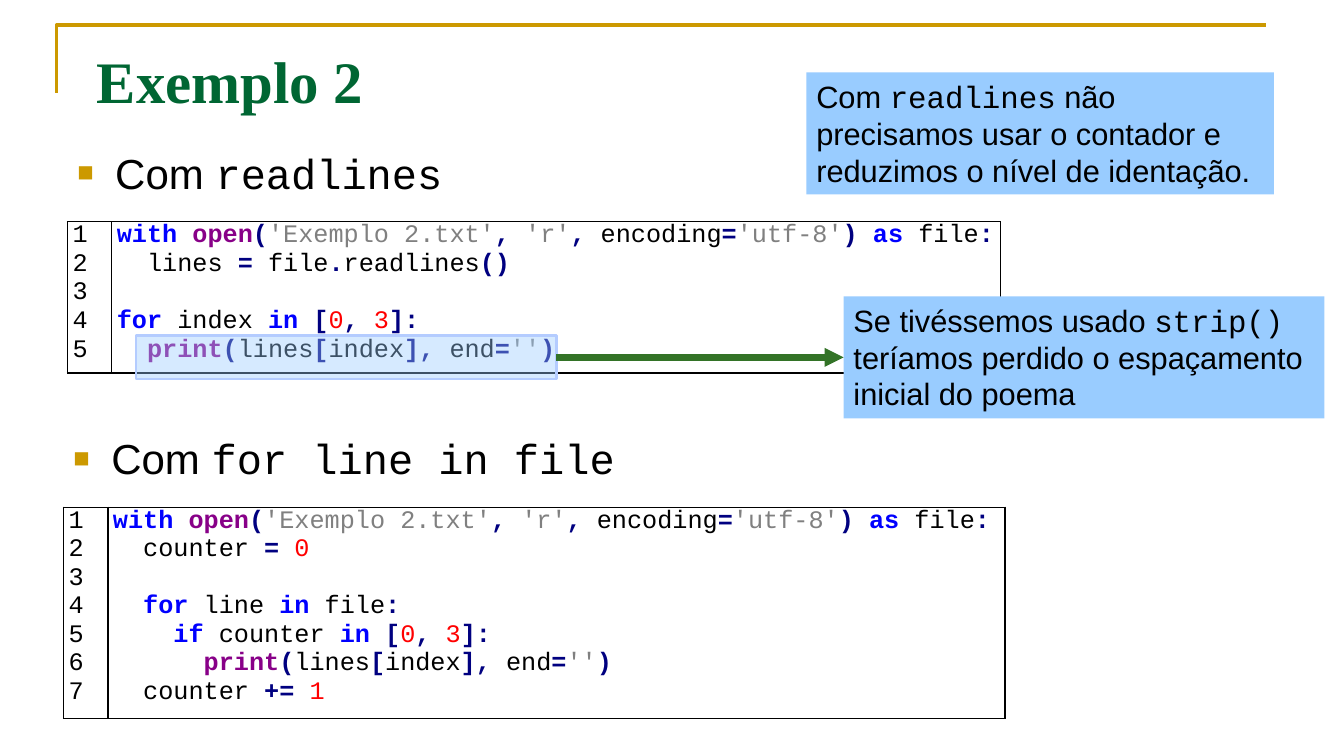
from collections import namedtuple
from dataclasses import dataclass
from itertools import groupby

from lxml import etree
from pptx import Presentation
from pptx.dml.color import RGBColor
from pptx.enum import shapes, text
from pptx.oxml import ns
from pptx.util import Pt

Box = namedtuple("Box", "left top width height")


@dataclass(frozen=True)
class Theme:
    gold: str = "CC9900"
    title: str = "006633"
    ink: str = "000000"
    callout: str = "99CCFF"
    highlight_edge: str = "B4CCFF"
    arrow: str = "337327"
    keyword: str = "0000FF"
    builtin: str = "880088"
    symbol: str = "000080"
    string: str = "808080"
    number: str = "FF0000"
    sans: str = "Arial"
    serif: str = "Times New Roman"
    mono: str = "Courier New"
    title_size: int = 42
    heading_size: int = 30
    callout_size: int = 22
    code_size: int = 18


THEME = Theme()
KEYWORDS = {"with", "as", "for", "in", "if"}
BUILTINS = {"open", "print"}
NUMBER_COLUMN = 31.7
CODE_LINE = 20.4

READLINES_CODE = """\
with open('Exemplo 2.txt', 'r', encoding='utf-8') as file:
  lines = file.readlines()

for index in [0, 3]:
  print(lines[index], end='')"""

FOR_LINE_CODE = """\
with open('Exemplo 2.txt', 'r', encoding='utf-8') as file:
  counter = 0

  for line in file:
    if counter in [0, 3]:
      print(lines[index], end='')
  counter += 1"""


def rgb(colour):
    return RGBColor.from_string(colour)


def place(box):
    return [Pt(value) for value in box]


def add_element(parent, tag, **attributes):
    return etree.SubElement(parent, ns.qn(tag), attributes)


def add_span(para, words, size, font=THEME.sans, colour=THEME.ink, bold=False):
    span = para.add_run()
    span.text = words
    span.font.size = Pt(size)
    span.font.name = font
    span.font.bold = bold
    span.font.color.rgb = rgb(colour)


def add_corner_frame(page, box):
    """Draw the gold line down the left side and along the top of the box."""
    left, top, width, height = place(box)
    builder = page.shapes.build_freeform(left, top + height, scale=1.0)
    builder.add_line_segments([(left, top), (left + width, top)], close=False)
    frame = builder.convert_to_shape()
    frame.shadow.inherit = False
    frame.fill.background()
    frame.line.color.rgb = rgb(THEME.gold)
    frame.line.width = Pt(2.5)


def fill_title(page, box, words):
    title = page.shapes.title
    title.left, title.top, title.width, title.height = place(box)
    title.text_frame.vertical_anchor = text.MSO_ANCHOR.MIDDLE
    para = title.text_frame.paragraphs[0]
    para.alignment = text.PP_ALIGN.LEFT
    add_span(para, words, THEME.title_size, THEME.serif, THEME.title, True)


def add_heading(page, box, words, code):
    """Add a bulleted heading that ends in monospaced code."""
    frame = page.shapes.add_textbox(*place(box)).text_frame
    frame.word_wrap = True
    para = frame.paragraphs[0]
    para.alignment = text.PP_ALIGN.JUSTIFY
    indent = Pt(27)
    properties = para._p.get_or_add_pPr()
    properties.set("marL", str(indent))
    properties.set("indent", str(-indent))
    add_element(add_element(properties, "a:buClr"), "a:srgbClr", val=THEME.gold)
    add_element(properties, "a:buSzPct", val="65000")
    add_element(properties, "a:buFont", typeface=THEME.sans)
    add_element(properties, "a:buChar", char="■")
    add_span(para, words, THEME.heading_size)
    add_span(para, code, THEME.heading_size, THEME.mono)


def token_style(token):
    """Return the colour and weight of a token outside quotes."""
    if token in KEYWORDS:
        return THEME.keyword, True
    if token in BUILTINS:
        return THEME.builtin, True
    if token.isdigit():
        return THEME.number, False
    if token.isspace() or token.isalnum():
        return THEME.ink, False
    return THEME.symbol, True


def add_code_line(para, line):
    for index, part in enumerate(line.split("'")):
        if index % 2:
            add_span(para, f"'{part}'", THEME.code_size, THEME.mono, THEME.string)
            continue
        for _, letters in groupby(part, lambda c: (c.isalnum(), c.isspace())):
            token = "".join(letters)
            colour, bold = token_style(token)
            add_span(para, token, THEME.code_size, THEME.mono, colour, bold)
    if not line:
        end = add_element(para._p, "a:endParaRPr", sz=str(THEME.code_size * 100))
        add_element(end, "a:latin", typeface=THEME.mono)


def format_cell(cell):
    """Clear the fill, tighten the margins and draw a border all round."""
    cell.margin_left = cell.margin_right = Pt(3.6)
    cell.margin_top = cell.margin_bottom = 0
    properties = cell._tc.get_or_add_tcPr()
    for side in "LRTB":
        border = add_element(properties, f"a:ln{side}", w=str(Pt(1)))
        fill = add_element(border, "a:solidFill")
        add_element(fill, "a:srgbClr", val=THEME.ink)
    cell.fill.background()


def add_listing(page, left, top, width, code):
    """Add a two-column table of line numbers and highlighted code."""
    lines = code.split("\n")
    box = Box(left, top, width, CODE_LINE * len(lines))
    table = page.shapes.add_table(1, 2, *place(box)).table
    table.first_row = table.horz_banding = False
    table.columns[0].width = Pt(NUMBER_COLUMN)
    table.columns[1].width = Pt(width - NUMBER_COLUMN)
    numbers, body = table.cell(0, 0), table.cell(0, 1)
    for cell in (numbers, body):
        format_cell(cell)
    for index, line in enumerate(lines):
        if index:
            numbers.text_frame.add_paragraph()
            body.text_frame.add_paragraph()
        add_span(numbers.text_frame.paragraphs[index], str(index + 1),
                 THEME.code_size, THEME.mono)
        add_code_line(body.text_frame.paragraphs[index], line)


def add_rectangle(page, box):
    rectangle = page.shapes.add_shape(shapes.MSO_SHAPE.RECTANGLE, *place(box))
    rectangle.shadow.inherit = False
    rectangle.fill.solid()
    rectangle.fill.fore_color.rgb = rgb(THEME.callout)
    rectangle.line.fill.background()
    return rectangle


def add_callout(page, box, before, code, after):
    callout = add_rectangle(page, box)
    frame = callout.text_frame
    frame.word_wrap = True
    frame.auto_size = text.MSO_AUTO_SIZE.SHAPE_TO_FIT_TEXT
    frame.vertical_anchor = text.MSO_ANCHOR.TOP
    para = frame.paragraphs[0]
    para.alignment = text.PP_ALIGN.LEFT
    for words, font in ((before, THEME.sans), (code, THEME.mono), (after, THEME.sans)):
        add_span(para, words, THEME.callout_size, font)
    return callout


def add_highlight(page, box):
    highlight = add_rectangle(page, box)
    colour = highlight._element.spPr.find(".//" + ns.qn("a:srgbClr"))
    add_element(colour, "a:alpha", val="40000")
    highlight.line.color.rgb = rgb(THEME.highlight_edge)
    highlight.line.width = Pt(2)
    return highlight


def add_arrow(page, source, target):
    """Join the right side of the source to the left side of the target."""
    arrow = page.shapes.add_connector(shapes.MSO_CONNECTOR.STRAIGHT, 0, 0, 0, 0)
    arrow.begin_connect(source, 3)
    arrow.end_connect(target, 1)
    arrow.line.color.rgb = rgb(THEME.arrow)
    arrow.line.width = Pt(4.5)
    add_element(arrow.line._get_or_add_ln(), "a:tailEnd", type="triangle")
    add_element(arrow._element.spPr, "a:effectLst")


def build_example(page):
    add_corner_frame(page, Box(40.3, 18, 864, 48.2))
    fill_title(page, Box(62, 26, 864, 62.6), "Exemplo 2")
    add_heading(page, Box(48.2, 101.5, 528, 46), "Com ", "readlines")
    add_listing(page, 48.2, 158.4, 666.7, READLINES_CODE)
    add_listing(page, 45.4, 362.2, 672.5, FOR_LINE_CODE)
    add_callout(page, Box(576, 51.8, 334, 87.2), "Com ", "readlines",
                " não precisamos usar o contador e reduzimos o nível de identação.")
    add_heading(page, Box(45.4, 305.3, 528, 46), "Com ", "for line in file")
    highlight = add_highlight(page, Box(97.2, 239.8, 300.2, 31))
    callout = add_callout(page, Box(602.6, 211.7, 343.4, 87.2),
                          "Se tivéssemos usado ", "strip() ",
                          "teríamos perdido o espaçamento inicial do poema")
    add_arrow(page, highlight, callout)


def main():
    deck = Presentation()
    deck.slide_width, deck.slide_height = Pt(960), Pt(540)
    build_example(deck.slides.add_slide(deck.slide_layouts[5]))
    deck.save("out.pptx")


if __name__ == "__main__":
    main()
